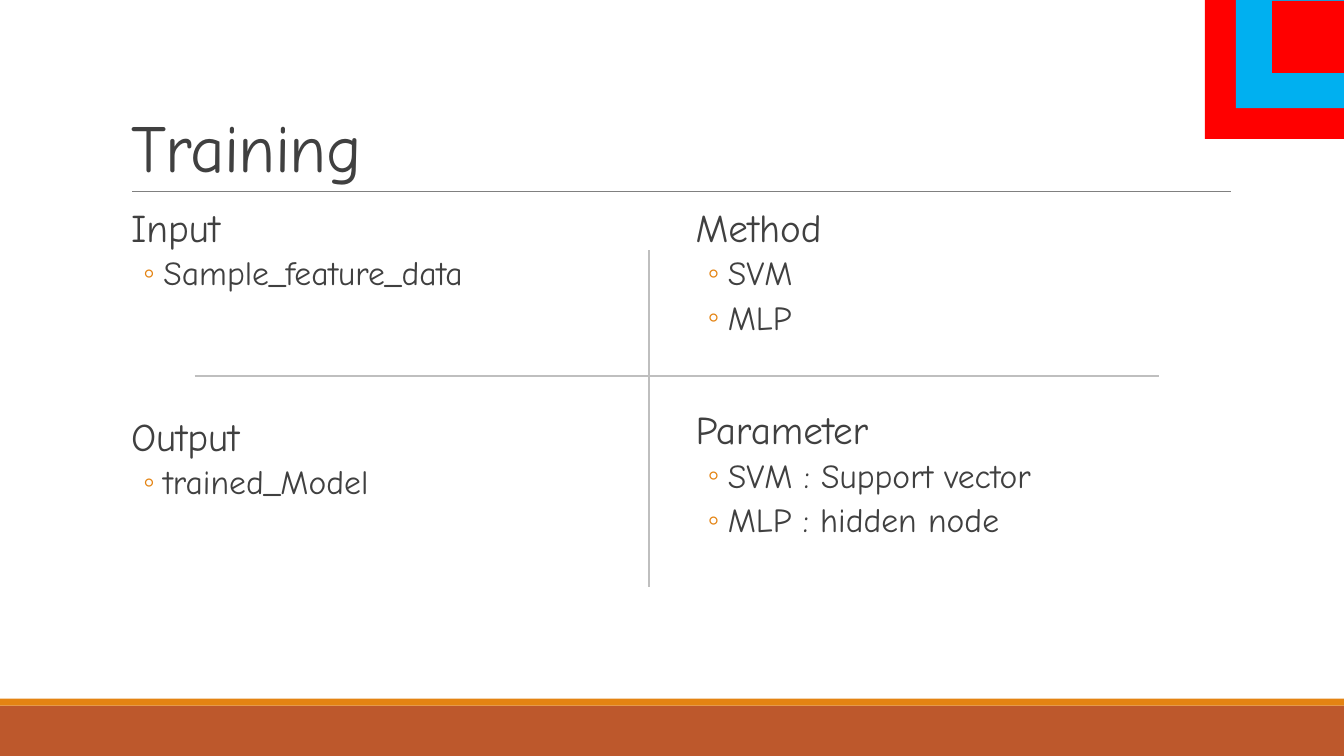
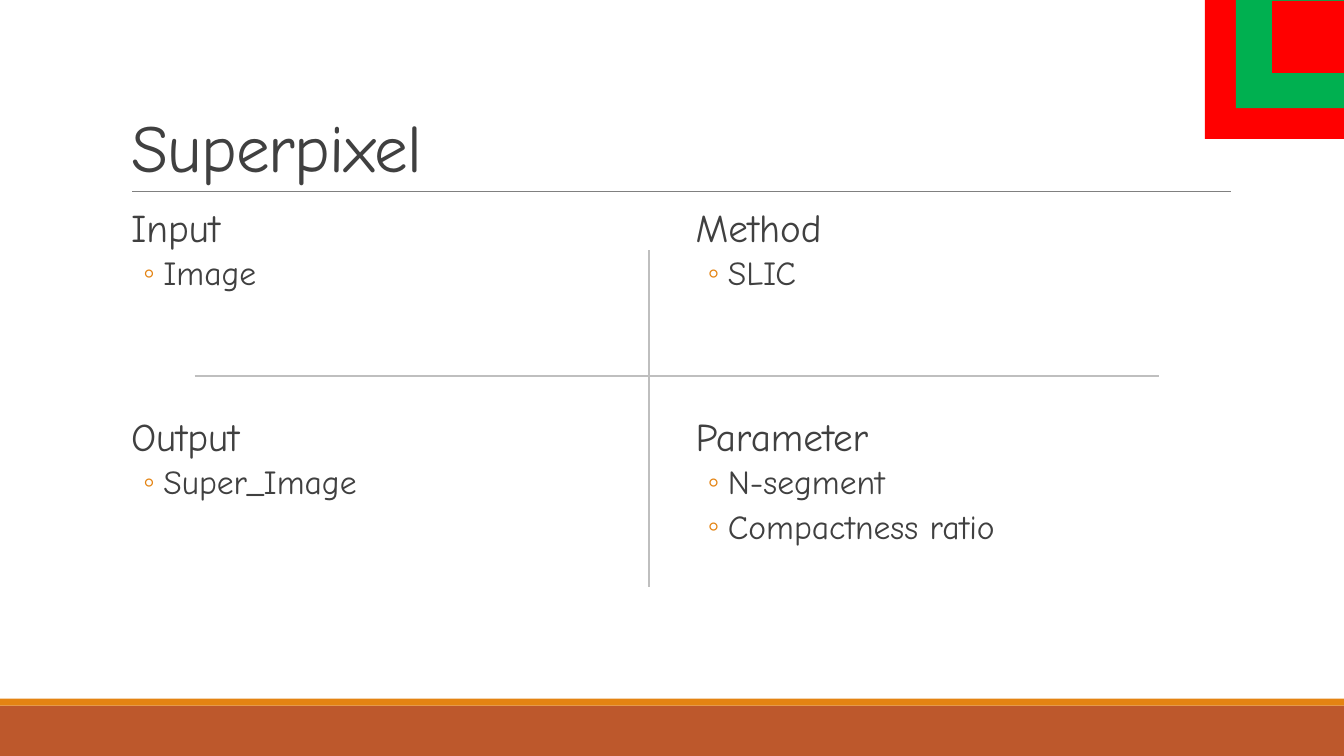
from dataclasses import dataclass
from lxml.etree import SubElement as Sub
from pptx import Presentation
from pptx.dml.color import RGBColor as Rgb
from pptx.enum.shapes import MSO_CONNECTOR as Conn, MSO_SHAPE as Kind
from pptx.enum.text import MSO_ANCHOR as Anchor, MSO_AUTO_SIZE as Fit, PP_ALIGN as Align
from pptx.oxml.ns import qn
from pptx.util import Inches, Pt


@dataclass(frozen=True)
class Theme:
    face: str = "Comic Neue"
    text: str = "404040"
    band: str = "BD582C"
    accent: str = "E48312"
    rule: str = "808080"
    cross: str = "BFBFBF"
    red: str = "FF0000"
    blue: str = "00B0F0"
    green: str = "00B050"
    title: int = 48
    head: int = 28
    item: int = 24
    lead: int = 12
    row: float = 36.5
    rows: int = 3


def put(thing, **vals):
    for name, val in vals.items():
        setattr(thing, name, val)


class Deck:
    def __init__(self, theme):
        self.theme = theme
        self.show = Presentation()
        put(self.show, slide_width=Inches(13.33), slide_height=Inches(7.5))

    def x(self, share):
        return round(self.show.slide_width * share / 100)

    def y(self, share):
        return round(self.show.slide_height * share / 100)

    def box(self, left, top, width, height):
        return self.x(left), self.y(top), self.x(width), self.y(height)

    def rect(self, spot, color, home=None):
        shape = (home or self.slide).shapes.add_shape(Kind.RECTANGLE, *spot)
        shape.shadow.inherit = False
        shape.fill.solid()
        shape.fill.fore_color.rgb = Rgb.from_string(color)
        shape.line.fill.background()

    def line(self, start, end, color, width):
        link = self.slide.shapes.add_connector(
            Conn.STRAIGHT, self.x(start[0]), self.y(start[1]), self.x(end[0]), self.y(end[1]))
        link.line.color.rgb = Rgb.from_string(color)
        link.line.width = Pt(width)
        Sub(link._element.spPr, qn("a:effectLst"))

    def hold(self, index, spot, **vals):
        holder = self.slide.placeholders[index]
        put(holder, **dict(zip(("left", "top", "width", "height"), self.box(*spot))))
        frame = holder.text_frame
        put(frame, word_wrap=True, auto_size=Fit.NONE, margin_top=Inches(0.05),
            margin_bottom=Inches(0.05), **vals)
        return frame

    def label(self, para, text, size, **vals):
        put(para, alignment=Align.LEFT, **vals)
        run = para.add_run()
        run.text = text
        put(run.font, name=self.theme.face, size=Pt(size))
        run.font.color.rgb = Rgb.from_string(self.theme.text)
        return run

    def title(self, text):
        frame = self.hold(0, (9, 4.13, 82.5, 21.2), vertical_anchor=Anchor.BOTTOM,
                          margin_left=Inches(0.1), margin_right=Inches(0.1))
        run = self.label(frame.paragraphs[0], text, self.theme.title, line_spacing=0.85)
        run._r.get_or_add_rPr().set("spc", "-50")

    def head(self, para, text, lead):
        self.label(para, text, self.theme.head, line_spacing=0.9,
                   space_before=Pt(lead), space_after=Pt(2))
        props = para._p.get_or_add_pPr()
        props.set("marL", str(Inches(0.1)))
        props.set("indent", "0")
        Sub(props, qn("a:buNone"))

    def item(self, para, text):
        self.label(para, text, self.theme.item, level=1, line_spacing=0.9,
                   space_before=Pt(2), space_after=Pt(4))
        props = para._p.get_or_add_pPr()
        props.set("marL", str(Inches(0.42)))
        props.set("indent", str(Inches(-0.2)))
        Sub(Sub(props, qn("a:buClr")), qn("a:srgbClr"), val=self.theme.accent)
        Sub(props, qn("a:buChar"), char="◦")

    def body(self, index, left, parts):
        frame = self.hold(index, (left, 26.93, 40.5, 58.67), vertical_anchor=Anchor.TOP,
                          margin_left=0, margin_right=0)
        para, lead = frame.paragraphs[0], self.theme.lead
        for name, items in parts:
            self.head(para, name, lead)
            for text in items:
                self.item(frame.add_paragraph(), text)
            lead = self.theme.lead + self.theme.row * (self.theme.rows - len(items))
            if name != parts[-1][0]:
                para = frame.add_paragraph()

    def badge(self, color):
        group = self.slide.shapes.add_group_shape()
        red = self.theme.red
        for side, top, fill in ((10.35, 0, red), (8.05, 0, color), (5.35, 0.13, red)):
            self.rect((self.x(100 - side), self.y(top), self.x(side), self.x(side)), fill, group)

    def page(self, title, color, left, right):
        look = self.theme
        self.slide = self.show.slides.add_slide(self.show.slide_layouts[3])
        self.rect(self.box(0, 93.33, 100, 6.67), look.band)
        self.rect(self.box(0, 92.4, 100, 0.93), look.accent)
        self.line((9.83, 25.33), (91.6, 25.33), look.rule, 0.5)
        self.title(title)
        self.body(1, 9, left)
        self.body(2, 51, right)
        self.line((48.3, 77.6), (48.3, 33.07), look.cross, 1)
        self.line((14.48, 49.73), (86.2, 49.73), look.cross, 1)
        self.badge(color)


look = Theme()
deck = Deck(look)
deck.page("Training", look.blue,
          [("Input", ["Sample_feature_data"]), ("Output", ["trained_Model"])],
          [("Method", ["SVM", "MLP"]),
           ("Parameter", ["SVM : Support vector", "MLP : hidden node"])])
deck.page("Superpixel", look.green,
          [("Input", ["Image"]), ("Output", ["Super_Image"])],
          [("Method", ["SLIC"]), ("Parameter", ["N-segment", "Compactness ratio"])])
deck.show.save("out.pptx")
